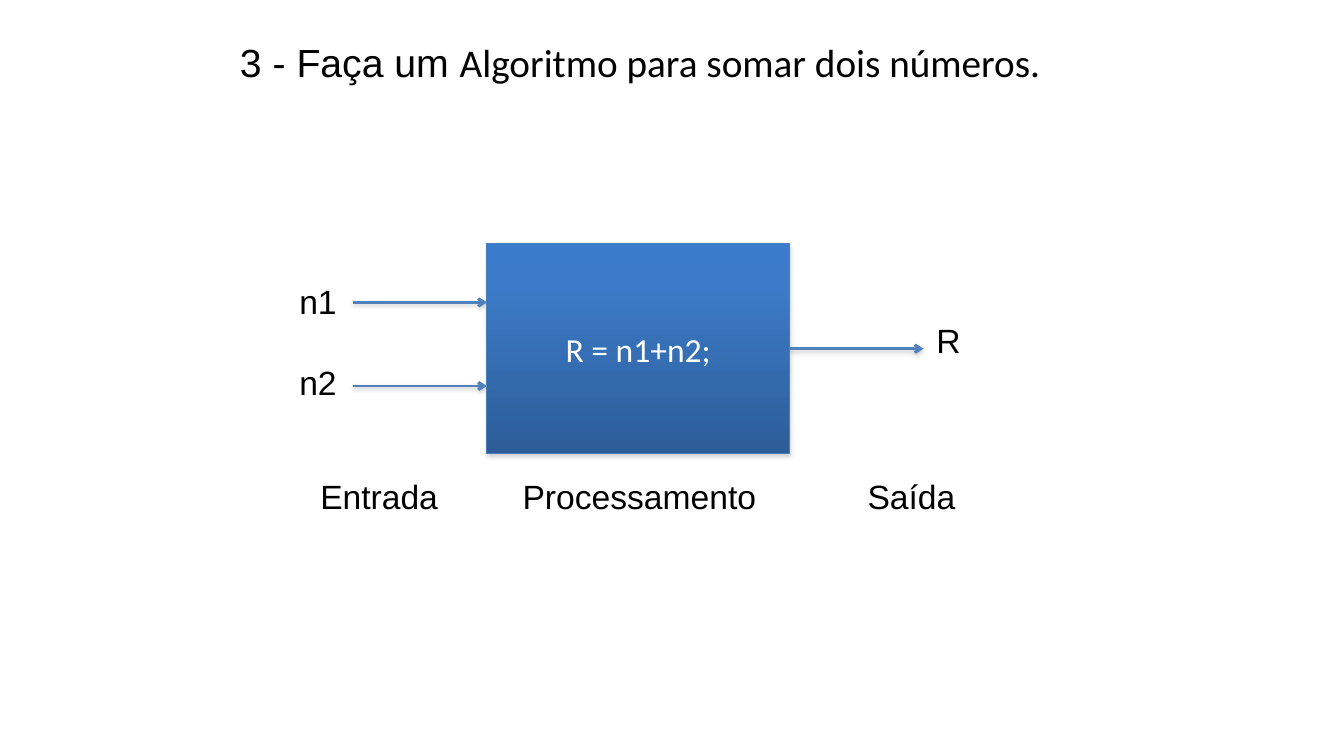
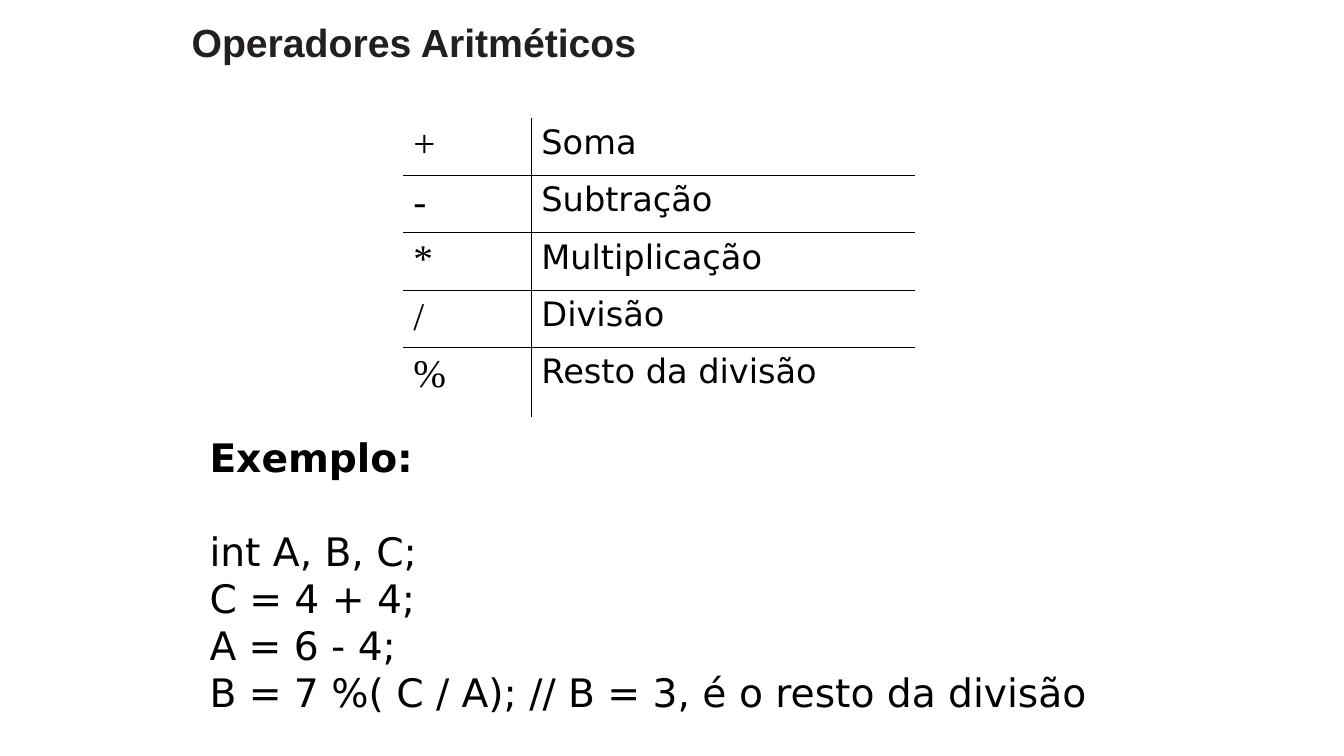
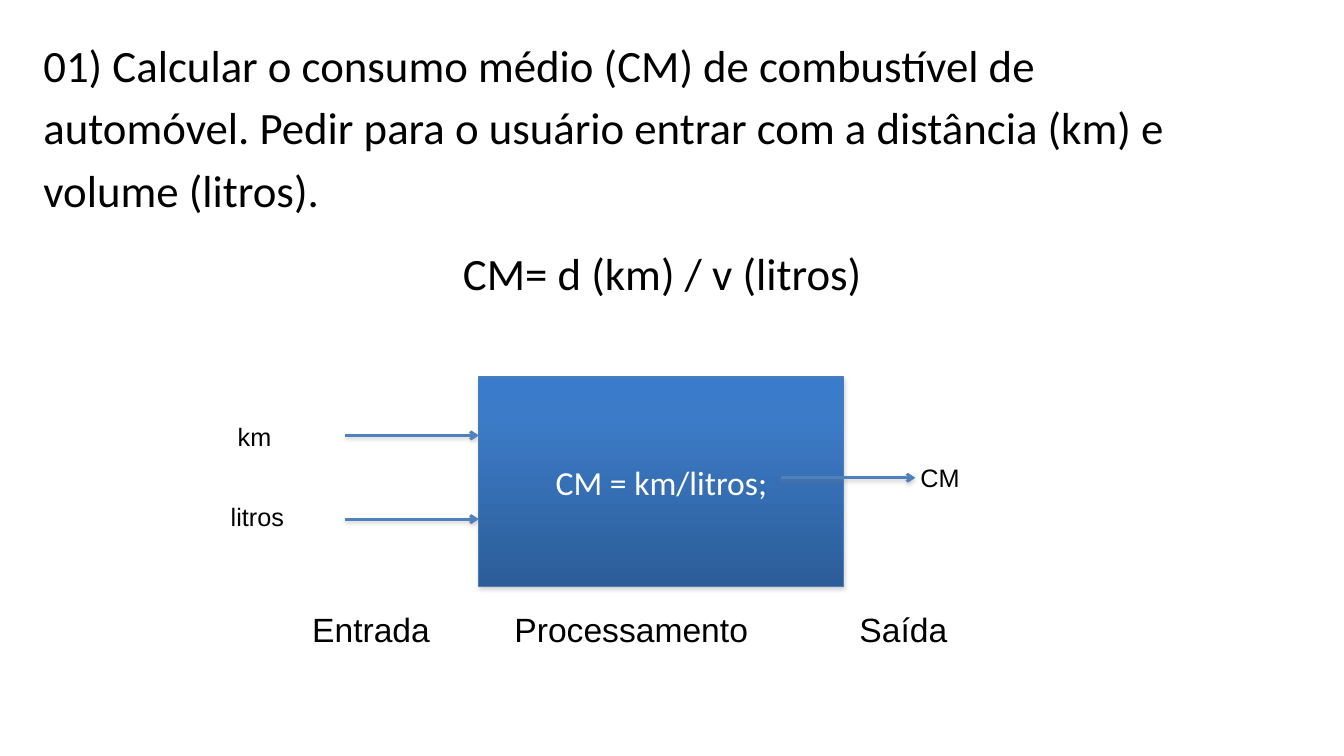
from pptx import Presentation
from pptx.dml.color import RGBColor
from pptx.enum import shapes, text
from pptx.oxml import parse_xml
from pptx.oxml.ns import nsdecls
from pptx.util import Inches, Pt

COLORS = {
    "ink": "000000", "heading": "231F20", "white": "FFFFFF",
    "box_top": "3A7CCB", "box_upper": "3C7BC7", "box_bottom": "2C5D98",
    "box_edge": "4A7EBB", "arrow": "4F81BD", "shadow": "808080",
}
SANS, BODY, CODE, SERIF = "Arial", "Calibri", "DejaVu Sans", "Times New Roman"
LEFT, CENTER = text.PP_ALIGN.LEFT, text.PP_ALIGN.CENTER

SUM_TITLE = [("3 - Faça um ", SANS), ("Algoritmo para somar dois números.", BODY)]
SUM_FLOW = {
    "formula": "R = n1+n2;", "box": (4.83, 2.42, 3), "exit": 1.04, "size": 24,
    "labels": [("n1", 2.87, 2.74), ("n2", 2.87, 3.54), ("R", 9.19, 3.12)],
}

OPERATORS_TITLE = [("Operadores Aritméticos", SANS)]
OPERATORS = [("+", "Soma"), ("-", "Subtração"), ("*", "Multiplicação"),
             ("/", "Divisão"), ("%", "Resto da divisão")]
COLUMN_WIDTHS = (1.27, 3.81)
ROW_HEIGHTS = (0.57, 0.57, 0.57, 0.57, 0.69)
EXAMPLE = ["Exemplo:", "int A, B, C;", "C = 4 + 4;", "A = 6 - 4;",
           "B = 7 %( C / A); // B = 3, é o resto da divisão"]

FUEL_TEXT = ["01) Calcular o consumo médio (CM) de combustível de",
             "automóvel. Pedir para o usuário entrar com a distância (km) e",
             "volume (litros).", "CM= d (km) / v (litros)"]
FUEL_FLOW = {
    "formula": "CM = km/litros;", "box": (4.75, 3.74, 3.62), "exit": 1, "size": 18,
    "labels": [("km", 2.26, 4.13), ("litros", 2.19, 4.92), ("CM", 9.03, 4.54)],
}

# Offsets from the left and top of the process box
BOX_HEIGHT = 2.08
ARROW_LENGTH = 1.33
INPUT_ROWS = (0.58, 1.41)
EXIT_X = 3
STAGES = [("Entrada", -1.07), ("Processamento", 1.51), ("Saída", 4.21)]
STAGE_TOP, STAGE_WIDTH = 2.25, 2.58


def rgb(name):
    return RGBColor.from_string(COLORS[name])


def inches(*values):
    return [Inches(value) for value in values]


def style(para, size, font, color="ink", bold=False, align=LEFT):
    para.alignment = align
    for span in para.runs:
        span.font.size = Pt(size)
        span.font.name = font
        span.font.bold = bold
        span.font.color.rgb = rgb(color)


def place(shape, area):
    shape.left, shape.top, shape.width, shape.height = inches(*area)
    frame = shape.text_frame
    frame.auto_size = text.MSO_AUTO_SIZE.NONE
    frame.word_wrap = True
    return frame


def add_title(page, spans, area, color="ink", bold=False):
    para = place(page.shapes.title, area).paragraphs[0]
    for words, _ in spans:
        para.add_run().text = words
    style(para, 28, SANS, color, bold)
    for span, (_, font) in zip(para.runs, spans):
        span.font.name = font


def add_label(page, words, area, size, align=LEFT):
    frame = page.shapes.add_textbox(*inches(*area)).text_frame
    frame.word_wrap = True
    frame.text = words
    style(frame.paragraphs[0], size, SANS, align=align)


def add_shadow(shape, distance, opacity):
    shape._element.spPr.append(parse_xml(
        f'<a:effectLst {nsdecls("a")}><a:outerShdw blurRad="{Pt(3.1)}" '
        f'dist="{Pt(distance)}" dir="5400000" rotWithShape="0">'
        f'<a:srgbClr val="{COLORS["shadow"]}"><a:alpha val="{opacity * 1000}"/>'
        '</a:srgbClr></a:outerShdw></a:effectLst>'))


def add_process_box(page, formula, left, top, width):
    box = page.shapes.add_shape(shapes.MSO_SHAPE.RECTANGLE,
                                *inches(left, top, width, BOX_HEIGHT))
    stops = "".join(
        f'<a:gs pos="{position * 1000}"><a:srgbClr val="{COLORS[name]}"/></a:gs>'
        for position, name in [(0, "box_top"), (20, "box_upper"), (100, "box_bottom")])
    box._element.spPr.insert(2, parse_xml(
        f'<a:gradFill {nsdecls("a")} rotWithShape="1"><a:gsLst>{stops}</a:gsLst>'
        '<a:lin ang="5400000" scaled="0"/></a:gradFill>'))
    box.line.color.rgb = rgb("box_edge")
    box.line.width = Pt(0.75)
    add_shadow(box, 1.8, 35)
    box.text_frame.text = formula
    box.text_frame.vertical_anchor = text.MSO_ANCHOR.MIDDLE
    style(box.text_frame.paragraphs[0], 24, BODY, "white", align=CENTER)
    return box


def add_arrow(page, left, y):
    arrow = page.shapes.add_connector(shapes.MSO_CONNECTOR.STRAIGHT,
                                      *inches(left, y, left + ARROW_LENGTH, y))
    arrow.line.color.rgb = rgb("arrow")
    arrow.line.width = Pt(2)
    arrow._element.spPr.get_or_add_ln().append(
        parse_xml(f'<a:tailEnd {nsdecls("a")} type="arrow"/>'))
    add_shadow(arrow, 1.6, 38)
    return arrow


def add_flow(page, flow):
    """Draw inputs, process box, output and the stage names below them."""
    left, top, width = flow["box"]
    box = add_process_box(page, flow["formula"], left, top, width)
    for offset in INPUT_ROWS:
        add_arrow(page, left - ARROW_LENGTH, top + offset)
    output = add_arrow(page, left + EXIT_X, top + flow["exit"])
    if width == EXIT_X:
        output.begin_connect(box, 3)
    for words, x, y in flow["labels"]:
        add_label(page, words, (x, y, 0.8, 0.5), flow["size"])
    for words, middle in STAGES:
        area = (left + middle - STAGE_WIDTH / 2, top + STAGE_TOP, STAGE_WIDTH, 0.51)
        add_label(page, words, area, 24, CENTER)


def set_borders(cell, visible):
    """Rule the sides named in visible (L, R, T, B) and clear the others."""
    for index, side in enumerate("LRTB"):
        paint = (f'<a:solidFill><a:srgbClr val="{COLORS["ink"]}"/></a:solidFill>'
                 if side in visible else '<a:noFill/>')
        cell._tc.get_or_add_tcPr().insert(index, parse_xml(
            f'<a:ln{side} {nsdecls("a")} w="{Pt(1)}">{paint}</a:ln{side}>'))


def add_operator_table(page):
    table = page.shapes.add_table(
        len(OPERATORS), 2,
        *inches(4, 1.17, sum(COLUMN_WIDTHS), sum(ROW_HEIGHTS))).table
    table.first_row = table.horz_banding = False
    for column, width in zip(table.columns, COLUMN_WIDTHS):
        column.width = Inches(width)
    for index, (row, height) in enumerate(zip(table.rows, ROW_HEIGHTS)):
        row.height = Inches(height)
        rules = ("T" if index else "") + ("B" if index < len(OPERATORS) - 1 else "")
        looks = [(28, SERIF, "R"), (24, CODE, "L")]
        for cell, words, (size, font, side) in zip(row.cells, OPERATORS[index], looks):
            cell.text = words
            cell.fill.background()
            set_borders(cell, side + rules)
            style(cell.text_frame.paragraphs[0], size, font)


def add_example(page):
    frame = page.shapes.add_textbox(*inches(1.98, 4.25, 9.6, 2.93)).text_frame
    frame.word_wrap = True
    frame.text = "\n".join(EXAMPLE)
    for index, para in enumerate(frame.paragraphs):
        style(para, 28, CODE, bold=index == 0)
    frame.paragraphs[1].space_before = Pt(33.6)


def add_statement(page):
    frame = place(page.placeholders[1], (0.33, 0.32, 12.48, 3.18))
    frame.text = "\n".join(FUEL_TEXT)
    for para in frame.paragraphs:
        style(para, 32, BODY)
        props = para._p.get_or_add_pPr()
        props.set("marL", "0")
        props.set("indent", "0")
        props.append(parse_xml(f'<a:buNone {nsdecls("a")}/>'))
    formula = frame.paragraphs[-1]
    formula.alignment = CENTER
    formula.space_before = Pt(20.5)


def main():
    deck = Presentation()
    deck.slide_width, deck.slide_height = inches(13.33, 7.5)
    title_only, title_and_body = deck.slide_layouts[5], deck.slide_layouts[1]

    page = deck.slides.add_slide(title_only)
    add_title(page, SUM_TITLE, (2.28, 0.33, 8.5, 0.57))
    add_flow(page, SUM_FLOW)

    page = deck.slides.add_slide(title_only)
    add_title(page, OPERATORS_TITLE, (1.8, 0.13, 5, 0.57), "heading", True)
    add_operator_table(page)
    add_example(page)

    page = deck.slides.add_slide(title_and_body)
    unused = page.shapes.title._element
    unused.getparent().remove(unused)
    add_statement(page)
    add_flow(page, FUEL_FLOW)

    deck.save("out.pptx")


if __name__ == "__main__":
    main()
